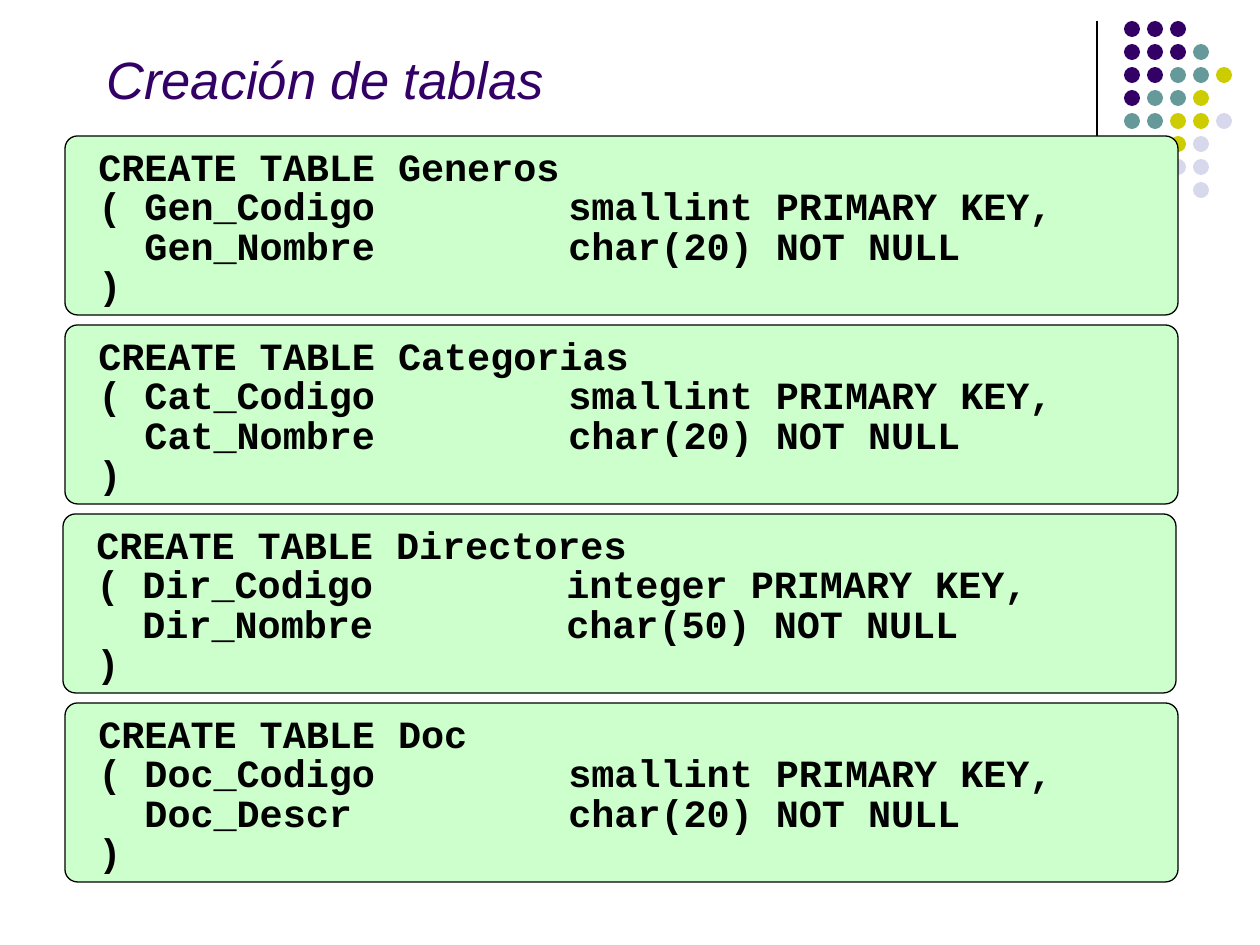
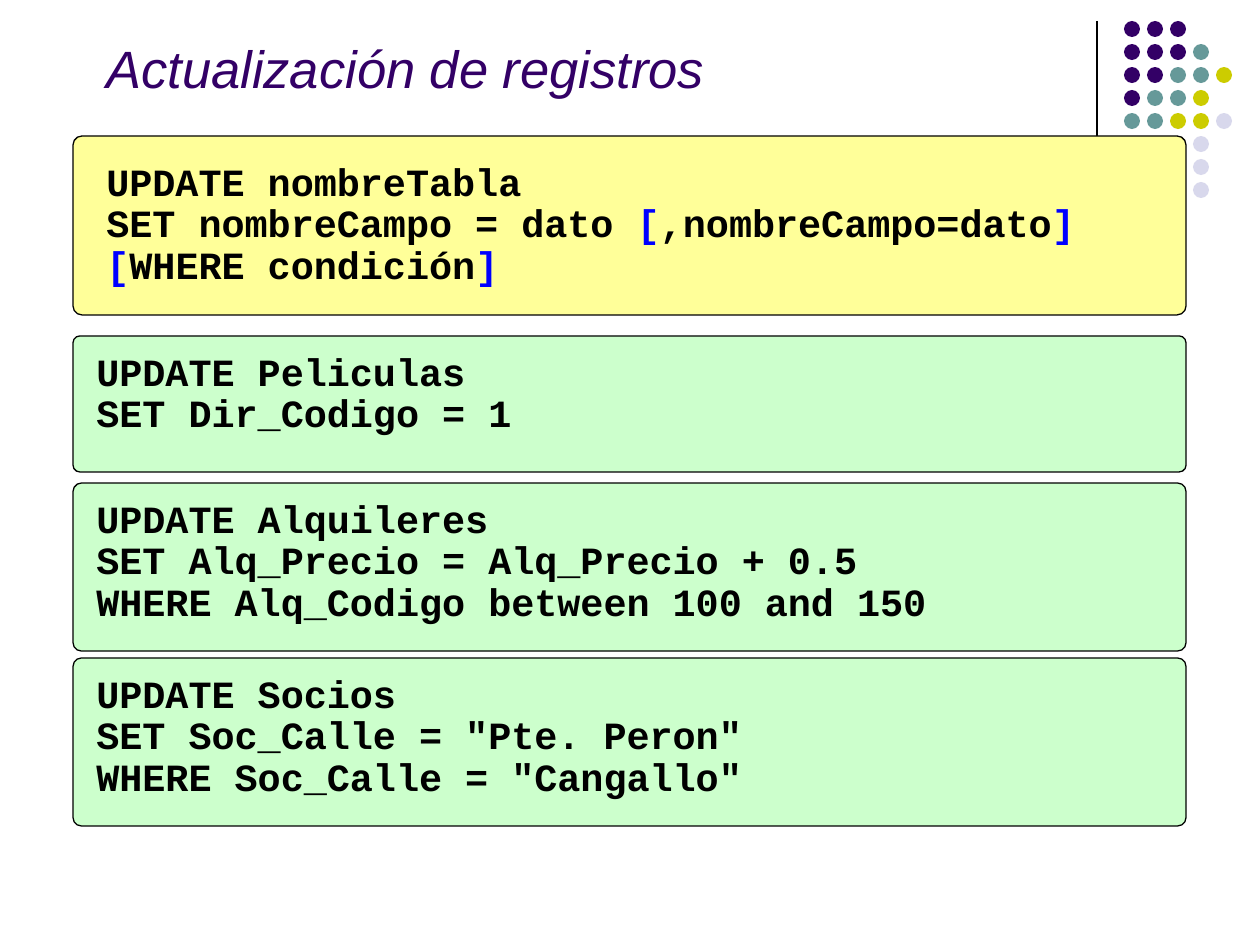
import itertools

import pptx
import pptx.dml.color
import pptx.enum.shapes
import pptx.enum.text
import pptx.oxml.ns
import pptx.util
from lxml import etree

# Content: each block is (left, top, height, code lines)
TABLES_TITLE = "Creación de tablas"
TABLES = [
    # name, key column, key type, text column, text type, left
    ("Generos", "Gen_Codigo", "smallint", "Gen_Nombre", "char(20)", 65),
    ("Categorias", "Cat_Codigo", "smallint", "Cat_Nombre", "char(20)", 65),
    ("Directores", "Dir_Codigo", "integer", "Dir_Nombre", "char(50)", 63),
    ("Doc", "Doc_Codigo", "smallint", "Doc_Descr", "char(20)", 65),
]
UPDATES_TITLE = "Actualización de registros"
UPDATE_SYNTAX = [
    "UPDATE nombreTabla",
    "SET nombreCampo = dato [,nombreCampo=dato]",
    "[WHERE condición]",
]
UPDATE_EXAMPLES = [
    (336, 136, ["UPDATE Peliculas", "SET Dir_Codigo = 1"]),
    (483, 168, ["UPDATE Alquileres",
                "SET Alq_Precio = Alq_Precio + 0.5",
                "WHERE Alq_Codigo between 100 and 150"]),
    (658, 168, ["UPDATE Socios",
                'SET Soc_Calle = "Pte. Peron"',
                'WHERE Soc_Calle = "Cangallo"']),
]
DOT_ROWS = ["PPP", "PPPT", "PPTTY", "PTTY", "TTYYL", "TYYL", "  LL", "   L"]

# Shared look
COLORS = {
    "purple": "330066", "teal": "669999", "olive": "CCCC00", "lilac": "D8D8EC",
    "green": "CCFFCC", "yellow": "FFFF99", "black": "000000", "blue": "0000FF",
}
DOT_COLORS = {"P": "purple", "T": "teal", "Y": "olive", "L": "lilac"}
PX = 914400 / 126
BLOCK_TOP, BLOCK_WIDTH, BLOCK_HEIGHT, BLOCK_STEP = 136, 1113, 179, 189
TEXT_WIDTH = 1081
TYPE_COLUMN = 470
DOT_LEFT, DOT_TOP, DOT_STEP, DOT_SIZE = 1124, 21, 23, 16


def px(*lengths):
    return [pptx.util.Emu(round(length * PX)) for length in lengths]


def rgb(name):
    return pptx.dml.color.RGBColor.from_string(COLORS[name])


def add_tab_stop(para, position):
    tabs = etree.SubElement(para._p.get_or_add_pPr(), pptx.oxml.ns.qn("a:tabLst"))
    etree.SubElement(tabs, pptx.oxml.ns.qn("a:tab"), pos=str(px(position)[0]), algn="l")


def add_text(page, text, *, at, font, size, color="black", bold=False, italic=False,
             spacing=None, tab=None, anchor="TOP", grow=False):
    """Write text in a box, with square brackets in blue."""
    box = page.shapes.add_textbox(*px(*at))
    frame = box.text_frame
    frame.word_wrap = True
    frame.vertical_anchor = pptx.enum.text.MSO_ANCHOR[anchor]
    if grow:
        frame.auto_size = pptx.enum.text.MSO_AUTO_SIZE.SHAPE_TO_FIT_TEXT
    for index, line in enumerate(text.split("\n")):
        para = frame.add_paragraph() if index else frame.paragraphs[0]
        if tab:
            add_tab_stop(para, tab)
        if spacing:
            para.line_spacing = spacing
        for is_bracket, letters in itertools.groupby(line, key=lambda letter: letter in "[]"):
            span = para.add_run()
            span.text = "".join(letters)
            span.font.name = font
            span.font.size = pptx.util.Pt(size)
            span.font.bold = bold
            span.font.italic = italic
            span.font.color.rgb = rgb("blue" if is_bracket else color)


def add_shape(page, kind, at, fill, outlined=False):
    shape = page.shapes.add_shape(pptx.enum.shapes.MSO_SHAPE[kind], *px(*at))
    shape.shadow.inherit = False
    shape.fill.solid()
    shape.fill.fore_color.rgb = rgb(fill)
    if outlined:
        shape.line.color.rgb = rgb("black")
        shape.line.width = pptx.util.Pt(0.75)
    else:
        shape.line.fill.background()
    return shape


def add_code_block(page, lines, *, left, top, height, inset, fill="green",
                   corner=0.05, spacing=0.9, tab=None):
    panel = add_shape(page, "ROUNDED_RECTANGLE", (left, top, BLOCK_WIDTH, height),
                      fill, outlined=True)
    panel.adjustments[0] = corner
    dx, dy = inset
    add_text(page, "\n".join(lines), at=(left + dx, top + dy, TEXT_WIDTH, height - 2 * dy),
             font="Courier New", size=22, bold=True, spacing=spacing, tab=tab, grow=True)


def add_page(deck, title, title_top, title_height):
    page = deck.slides.add_slide(deck.slide_layouts[6])
    # Rule and dot pattern in the top right corner
    rule = page.shapes.add_connector(pptx.enum.shapes.MSO_CONNECTOR.STRAIGHT,
                                     *px(1097, 21, 1097, 231))
    rule.line.color.rgb = rgb("black")
    rule.line.width = pptx.util.Pt(0.75)
    etree.SubElement(rule._element.spPr, pptx.oxml.ns.qn("a:effectLst"))
    for row, dots in enumerate(DOT_ROWS):
        for column, dot in enumerate(dots):
            if dot in DOT_COLORS:
                at = (DOT_LEFT + column * DOT_STEP, DOT_TOP + row * DOT_STEP,
                      DOT_SIZE, DOT_SIZE)
                add_shape(page, "OVAL", at, DOT_COLORS[dot])
    add_text(page, title, at=(94, title_top, 1071, title_height), font="Arial", size=30,
             color="purple", italic=True, anchor="BOTTOM")
    return page


def main():
    deck = pptx.Presentation()
    deck.slide_width, deck.slide_height = px(1260, 945)

    # Table creation: four equal blocks
    page = add_page(deck, TABLES_TITLE, 21, 95)
    for index, (name, key, key_type, label, label_type, left) in enumerate(TABLES):
        lines = [f"CREATE TABLE {name}",
                 f"( {key}\t{key_type} PRIMARY KEY,",
                 f"  {label}\t{label_type} NOT NULL",
                 ")"]
        add_code_block(page, lines, left=left, top=BLOCK_TOP + index * BLOCK_STEP,
                       height=BLOCK_HEIGHT, inset=(21, 8), corner=0.07, spacing=0.85,
                       tab=TYPE_COLUMN)

    # Record updates: syntax, then examples
    page = add_page(deck, UPDATES_TITLE, 42, 63)
    add_code_block(page, UPDATE_SYNTAX, left=73, top=BLOCK_TOP, height=BLOCK_HEIGHT,
                   inset=(21, 21), fill="yellow")
    for top, height, lines in UPDATE_EXAMPLES:
        add_code_block(page, lines, left=73, top=top, height=height, inset=(11, 11))

    deck.save("out.pptx")


if __name__ == "__main__":
    main()
